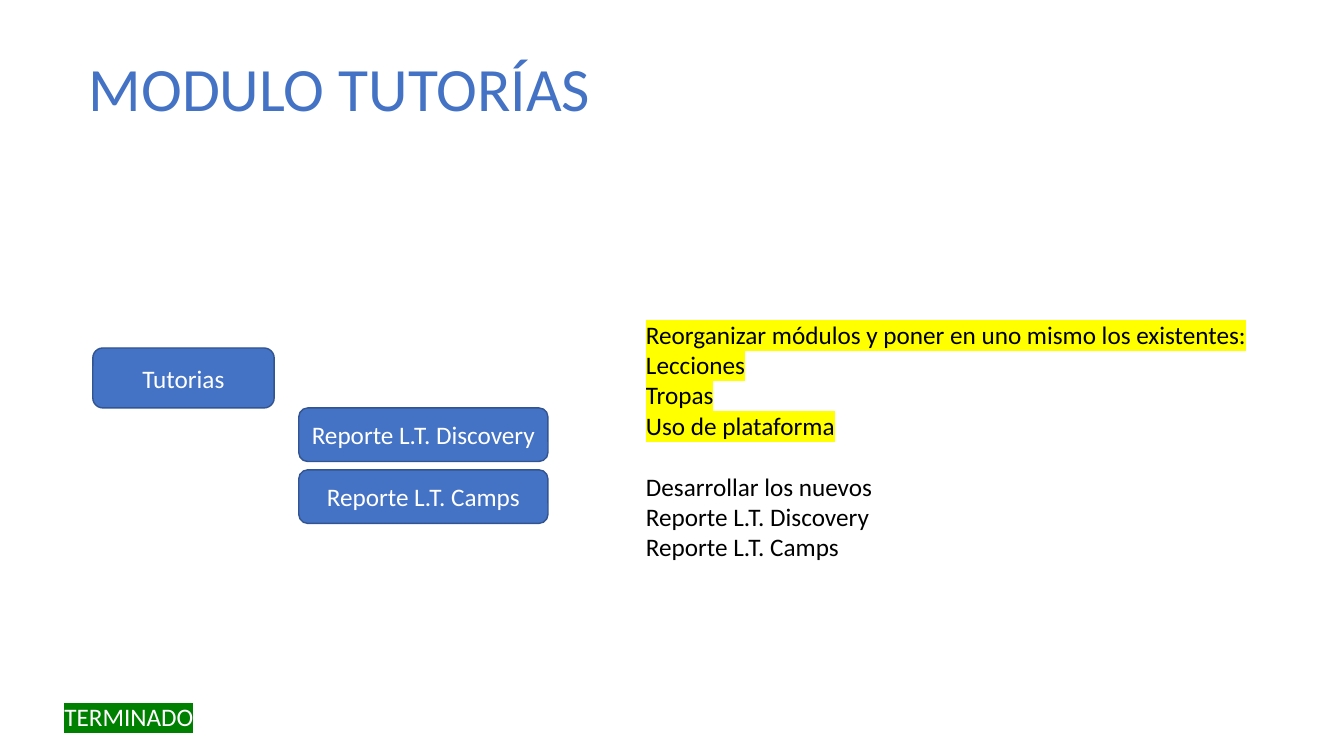
from lxml import etree
from pptx import Presentation
from pptx.dml.color import RGBColor
from pptx.enum.shapes import MSO_SHAPE as Shape
from pptx.enum.text import MSO_ANCHOR as Anchor, MSO_AUTO_SIZE as AutoSize, PP_ALIGN as Align
from pptx.oxml.ns import qn
from pptx.util import Cm, Pt

COLORS = {"blue": "4472C4", "outline": "325491", "white": "FFFFFF",
          "black": "000000", "yellow": "FFFF00", "green": "008000"}


def rgb(name):
    return RGBColor.from_string(COLORS[name])


def style(paragraph, color, size=18, align=Align.LEFT):
    paragraph.alignment = align
    font = paragraph.font
    font.name, font.size = "Calibri", Pt(size)
    font.color.rgb = rgb(color)


def highlight(paragraph, color):
    for run in paragraph.runs:
        mark = etree.SubElement(run.font._element, qn("a:highlight"))
        etree.SubElement(mark, qn("a:srgbClr"), val=COLORS[color])


def add_title(slide, left, top, width, height):
    title = slide.shapes.title
    title.left, title.top, title.width, title.height = left, top, width, height
    frame = title.text_frame
    frame.text = "MODULO TUTORÍAS"
    frame.vertical_anchor = Anchor.MIDDLE
    heading = frame.paragraphs[0]
    heading.line_spacing = 0.9
    style(heading, "blue", 44)


def add_module_box(slide, label, left, top, width, height):
    box = slide.shapes.add_shape(Shape.ROUNDED_RECTANGLE, left, top, width, height)
    box.shadow.inherit = False
    box.fill.solid()
    box.fill.fore_color.rgb = rgb("blue")
    box.line.color.rgb = rgb("outline")
    box.line.width = Pt(1)
    frame = box.text_frame
    frame.text = label
    frame.vertical_anchor = Anchor.MIDDLE
    style(frame.paragraphs[0], "white", align=Align.CENTER)


def add_module_tree(slide, left, top, reports):
    """Place the parent module with its reports stepped in below it."""
    parent_height = Cm(1.51)
    add_module_box(slide, "Tutorias", left, top, Cm(4.57), parent_height)
    for row, report in enumerate(reports):
        add_module_box(slide, report, left + Cm(5.19),
                       top + parent_height + row * Cm(1.56), Cm(6.28), Cm(1.35))


def add_tasks(slide, left, top, width, height, reports):
    frame = slide.shapes.add_textbox(left, top, width, height).text_frame
    frame.word_wrap = False
    frame.auto_size = AutoSize.SHAPE_TO_FIT_TEXT
    existing = ["Reorganizar módulos y poner en uno mismo los existentes:",
                "Lecciones", "Tropas", "Uso de plataforma"]
    new = ["Desarrollar los nuevos", *reports]
    frame.text = "\n".join(existing + new)
    for paragraph in frame.paragraphs:
        style(paragraph, "black")
    for paragraph in frame.paragraphs[:len(existing)]:
        highlight(paragraph, "yellow")
    frame.paragraphs[len(existing)].space_before = Pt(22)


def add_status(slide, left, top, width, height):
    frame = slide.shapes.add_textbox(left, top, width, height).text_frame
    frame.word_wrap = True
    frame.auto_size = AutoSize.SHAPE_TO_FIT_TEXT
    frame.text = "TERMINADO"
    status = frame.paragraphs[0]
    style(status, "white", align=Align.CENTER)
    highlight(status, "green")


def main():
    prs = Presentation()
    prs.slide_width, prs.slide_height = Cm(33.87), Cm(19.05)
    slide = prs.slides.add_slide(prs.slide_layouts[5])
    reports = ["Reporte L.T. Discovery", "Reporte L.T. Camps"]
    add_title(slide, Cm(1.98), Cm(0.46), Cm(29.21), Cm(3.68))
    add_module_tree(slide, Cm(2.34), Cm(8.77), reports)
    add_tasks(slide, Cm(16.03), Cm(7.92), Cm(15.82), Cm(6.4), reports)
    add_status(slide, Cm(0.66), Cm(17.55), Cm(5.18), Cm(1.02))
    prs.save("out.pptx")


if __name__ == "__main__":
    main()
